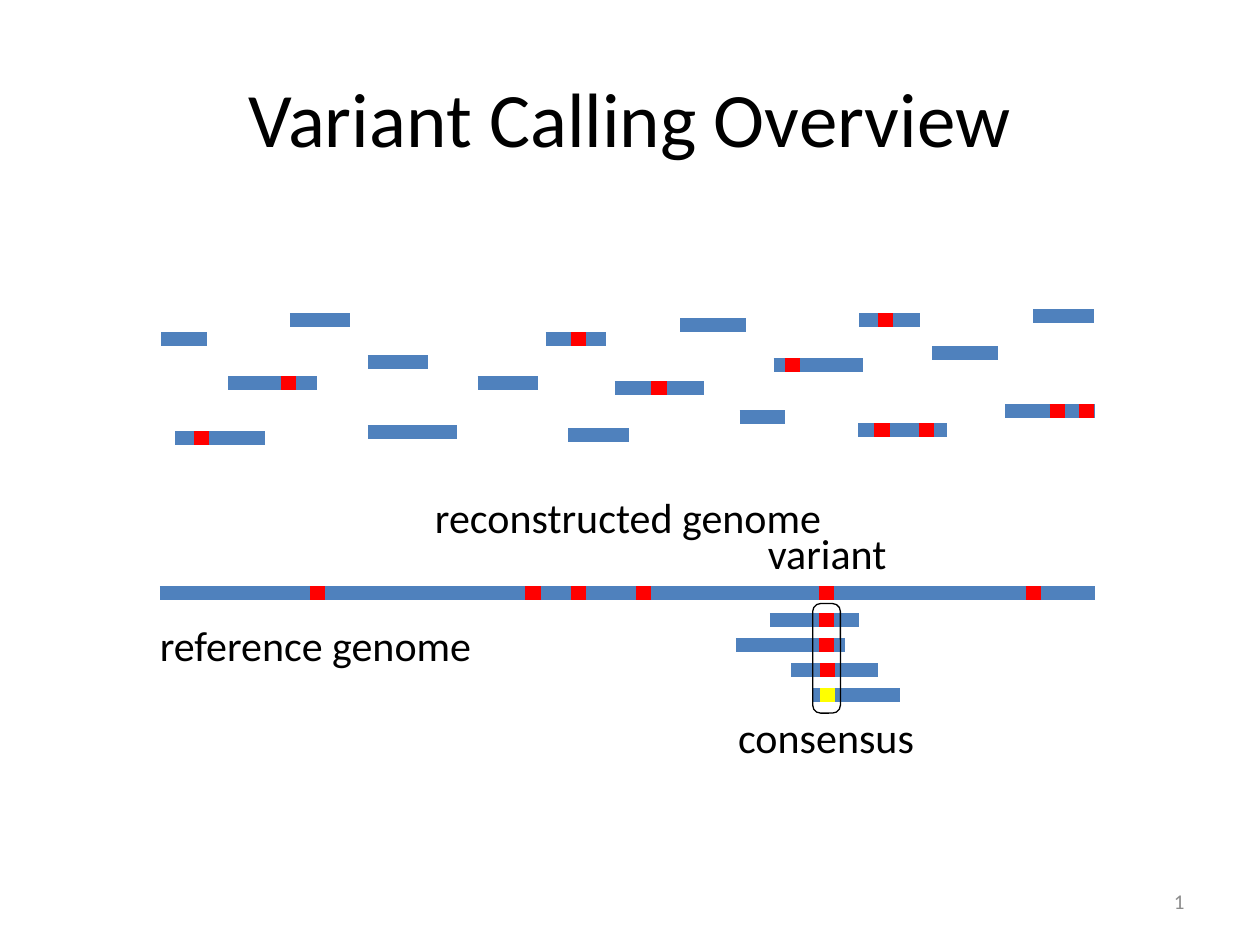
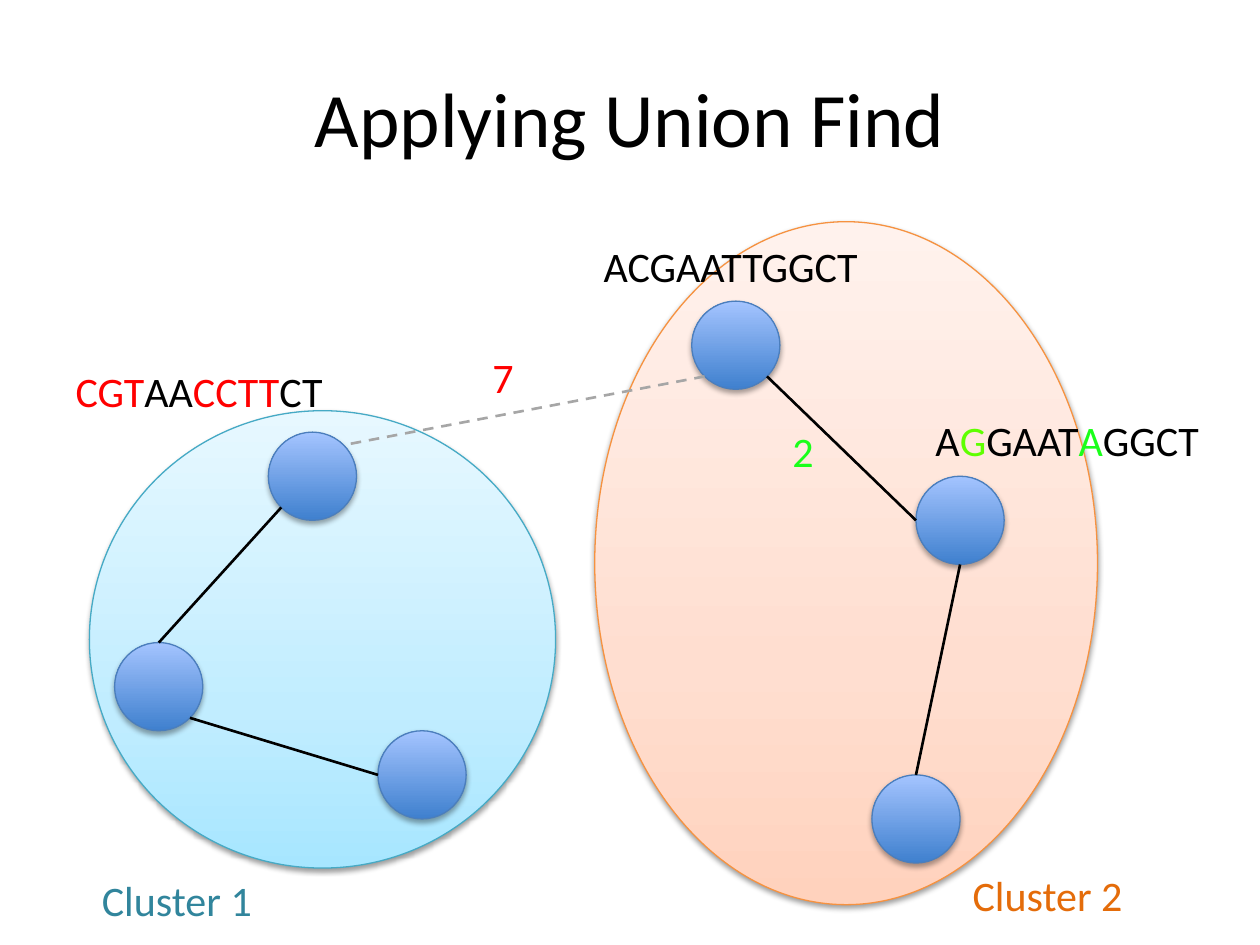
from dataclasses import dataclass
from math import cos, radians, sin

from lxml import etree
from pptx import Presentation
from pptx import util as u
from pptx.dml.color import RGBColor
from pptx.enum import dml, shapes, text
from pptx.oxml.ns import qn


@dataclass(frozen=True)
class Theme:
    font: str = "Calibri"
    title_size: int = 44
    label_size: int = 24
    number_size: int = 12
    bar_weight: float = 8
    edge_weight: float = 1.5
    outline_weight: float = 0.75
    ink: str = "000000"
    muted: str = "8C8C8C"
    genome: str = "4F81BD"
    variant: str = "FF0000"
    mismatch: str = "FFFF00"
    far_edge: str = "A6A6A6"
    near: str = "1AFF1A"
    near_bright: str = "5FFF00"
    node_line: str = "4B7EBC"
    node_fill: tuple = ((0, "3F80CE"), (100, "A4C4FF"))
    teal: str = "31859C"
    teal_line: str = "46AAC5"
    teal_fill: tuple = ((0, "A7E6FF"), (35, "C1EDFF"), (100, "E7F8FF"))
    orange: str = "E46C0A"
    orange_line: str = "F69240"
    orange_fill: tuple = ((0, "FFD2BD"), (35, "FFDED0"), (100, "FFF2ED"))


CENTER, LEFT, RIGHT = text.PP_ALIGN.CENTER, text.PP_ALIGN.LEFT, text.PP_ALIGN.RIGHT
COLUMNS, ROWS = 100, 75


class Deck:
    """Holds the theme and the current slide; places elements on a 100 x 75 grid."""

    def __init__(self, theme):
        self.theme = theme
        self.prs = Presentation()
        self.prs.slide_width, self.prs.slide_height = u.Inches(10), u.Inches(7.5)
        self.slide = None

    def grid(self, *lengths):
        """Turn alternating columns and rows into slide lengths."""
        steps = (self.prs.slide_width / COLUMNS, self.prs.slide_height / ROWS)
        return [round(n * steps[i % 2]) for i, n in enumerate(lengths)]

    def style(self, paragraph, size, color, align):
        paragraph.alignment = align
        font = paragraph.font
        font.name, font.size = self.theme.font, u.Pt(size)
        if color:
            font.color.rgb = RGBColor.from_string(color)

    def new_slide(self, title):
        self.slide = self.prs.slides.add_slide(self.prs.slide_layouts[5])
        heading = self.slide.shapes.title
        heading.left, heading.top, heading.width, heading.height = self.grid(5, 3, 90, 12.5)
        heading.text_frame.text = title
        heading.text_frame.vertical_anchor = text.MSO_ANCHOR.MIDDLE
        self.style(heading.text_frame.paragraphs[0], self.theme.title_size,
                   self.theme.ink, CENTER)

    def text_box(self, box, wrap=True):
        frame = self.slide.shapes.add_textbox(*self.grid(*box)).text_frame
        frame.word_wrap = wrap
        return frame

    def label(self, words, column, row, width, color=None, align=LEFT, wrap=True):
        """One line of text; words is a string or a list of (text, colour) pieces."""
        frame = self.text_box((column, row, width, 5), wrap)
        frame.auto_size = text.MSO_AUTO_SIZE.SHAPE_TO_FIT_TEXT
        line = frame.paragraphs[0]
        if isinstance(words, str):
            line.add_run().text = words
            color = color or self.theme.ink
        else:
            for piece, tint in words:
                run = line.add_run()
                run.text = piece
                run.font.color.rgb = RGBColor.from_string(tint)
        self.style(line, self.theme.label_size, color, align)

    def slide_number(self):
        frame = self.text_box((71.7, 69.5, 23.3, 4))
        frame.vertical_anchor = text.MSO_ANCHOR.MIDDLE
        line = frame.paragraphs[0]
        self.style(line, self.theme.number_size, self.theme.muted, RIGHT)
        field = etree.SubElement(line._p, qn("a:fld"), type="slidenum",
                                 id="{B6F15528-21DE-4FAA-801E-634DDDAF4B2B}")
        etree.SubElement(field, qn("a:rPr"), lang="en-US")
        etree.SubElement(field, qn("a:t")).text = str(len(self.prs.slides))

    def line(self, start, end, color, weight, dashed=False):
        stroke = self.slide.shapes.add_connector(
            shapes.MSO_CONNECTOR.STRAIGHT, *self.grid(*start, *end))
        stroke.line.color.rgb = RGBColor.from_string(color)
        stroke.line.width = u.Pt(weight)
        if dashed:
            stroke.line.dash_style = dml.MSO_LINE.DASH
        etree.SubElement(stroke._element.spPr, qn("a:effectLst"))

    def bar(self, column, row, length, color=None):
        self.line((column, row), (column + length, row),
                  color or self.theme.genome, self.theme.bar_weight)

    def marker(self, column, row, color=None):
        self.bar(column, row, 1.2, color or self.theme.variant)

    def outline(self, kind, box, color):
        shape = self.slide.shapes.add_shape(kind, *self.grid(*box))
        shape.shadow.inherit = False
        shape.line.color.rgb = RGBColor.from_string(color)
        shape.line.width = u.Pt(self.theme.outline_weight)
        return shape

    def frame(self, box, rounding):
        shape = self.outline(shapes.MSO_SHAPE.ROUNDED_RECTANGLE, box, self.theme.ink)
        shape.adjustments[0] = rounding
        shape.fill.background()

    def ellipse(self, box, stops, edge, shadow_alpha, shadow_distance):
        shape = self.outline(shapes.MSO_SHAPE.OVAL, box, edge)
        shape.fill.gradient()
        shape.fill.gradient_angle = 90
        properties = shape._element.spPr
        # Gradient stops, from the bottom up
        stop_list = properties.find(".//" + qn("a:gsLst"))
        for old in list(stop_list):
            stop_list.remove(old)
        for position, color in stops:
            stop = etree.SubElement(stop_list, qn("a:gs"), pos=str(position * 1000))
            etree.SubElement(stop, qn("a:srgbClr"), val=color)
        # Soft shadow straight below
        shadow = etree.SubElement(
            properties.find(qn("a:effectLst")), qn("a:outerShdw"), blurRad="40000",
            dist=str(u.Pt(shadow_distance)), dir="5400000", rotWithShape="0")
        tint = etree.SubElement(shadow, qn("a:srgbClr"), val=self.theme.ink)
        etree.SubElement(tint, qn("a:alpha"), val=str(shadow_alpha * 1000))

    def cluster(self, box, stops, edge):
        self.ellipse(box, stops, edge, 38, 1.6)

    def node(self, center):
        column, row = center
        self.ellipse((column - RADIUS, row - RADIUS, 2 * RADIUS, 2 * RADIUS),
                     self.theme.node_fill, self.theme.node_line, 35, 1.8)


RADIUS = 3.5


def rim(center, angle):
    """Point on a node's rim, clockwise from the right."""
    turn = radians(angle)
    return center[0] + RADIUS * cos(turn), center[1] + RADIUS * sin(turn)


theme = Theme()
deck = Deck(theme)

# Slide 1: variant calling
deck.new_slide("Variant Calling Overview")

# Reads: column, row, length, columns of the variants
LONG, MIDDLE, SHORT = 7.1, 4.8, 3.6
reads = [
    (18.1, 30.4, LONG, [22.3]), (29.2, 28.7, MIDDLE, []),
    (43.3, 26.9, MIDDLE, [45.3]), (37.9, 30.4, MIDDLE, []),
    (48.8, 30.8, LONG, [51.7]), (54, 25.8, 5.2, []),
    (61.4, 29, LONG, [62.3]), (82, 25.1, MIDDLE, []),
    (79.8, 32.6, LONG, [83.3, 85.6]), (12.8, 26.9, SHORT, []),
    (68.1, 34.1, LONG, [69.4, 72.9]), (74, 28, 5.2, []),
    (13.9, 34.8, LONG, [15.4]), (23, 25.4, MIDDLE, []),
    (29.2, 34.3, LONG, []), (45.1, 34.5, MIDDLE, []),
    (68.2, 25.4, MIDDLE, [69.7]), (58.7, 33.1, SHORT, []),
]
for column, row, length, variants in reads:
    deck.bar(column, row, length)
    for variant in variants:
        deck.marker(variant, row)

# Reconstructed genome with its variants
GENOME_ROW = 47.1
deck.bar(12.7, GENOME_ROW, 74.2)
for variant in (24.6, 41.7, 45.3, 50.5, 65, 81.4):
    deck.marker(variant, GENOME_ROW)

# Reads piled up under one variant: column, length, marker column, marker colour
pileup = [(61.1, 7.1, 65, theme.variant), (58.4, 8.7, 65, theme.variant),
          (62.8, 6.9, 65.1, theme.variant), (64.5, 6.9, 65.1, theme.mismatch)]
for level, (column, length, base, color) in enumerate(pileup):
    row = 49.2 + 2 * level
    deck.bar(column, row, length)
    deck.marker(base, row, color)
deck.frame((64.5, 47.9, 2.2, 8.7), 0.287)

deck.label("consensus", 57.6, 56, 16.1, wrap=False)
deck.label("reference genome", 11.7, 48.7, 27, wrap=False)
deck.label("variant", 54, 41.4, 23.3, align=CENTER)
deck.label("reconstructed genome", 12.8, 38.5, 74.1, align=CENTER)
deck.slide_number()

# Slide 2: union find
deck.new_slide("Applying Union Find")

# Clusters
deck.cluster((47.2, 17.6, 39.9, 54.2), theme.orange_fill, theme.orange_line)
deck.label("Cluster 2", 76.2, 68.5, 23.8, theme.orange)
deck.cluster((7.1, 32.6, 37, 36.3), theme.teal_fill, theme.teal_line)
deck.label("Cluster 1", 7.1, 68.9, 26.9, theme.teal)

# Nodes, by cluster from top to bottom
first = [(24.8, 37.8), (12.6, 54.5), (33.5, 61.5)]
second = [(58.4, 27.4), (76.2, 41.3), (72.7, 65)]
for center in first + second:
    deck.node(center)

# Edges, each from rim to rim
edges = [(first[0], 135, first[1], 270), (first[1], 45, first[2], 180),
         (second[0], 45, second[1], 180), (second[1], 90, second[2], 270)]
for start, leave, end, arrive in edges:
    deck.line(rim(start, leave), rim(end, arrive), theme.ink, theme.edge_weight)
deck.line(rim(second[0], 135), rim(first[0], 315), theme.far_edge,
          theme.edge_weight, dashed=True)

# Sequences and their distances
SEQUENCE_WIDTH = 28.4
deck.label("ACGAATTGGCT", 43.8, 18.6, SEQUENCE_WIDTH, align=CENTER)
deck.label([("A", theme.ink), ("G", theme.near_bright), ("GAAT", theme.ink),
            ("A", theme.near), ("GGCT", theme.ink)],
           70.5, 32.4, SEQUENCE_WIDTH, align=CENTER)
deck.label([("CGT", theme.variant), ("AA", theme.ink),
            ("CCTT", theme.variant), ("CT", theme.ink)],
           1.6, 28.5, SEQUENCE_WIDTH, align=CENTER)
deck.label("2", 61.9, 33.3, 3.8, theme.near)
deck.label("7", 38.1, 27.4, 5.4, theme.variant)

deck.prs.save("out.pptx")
